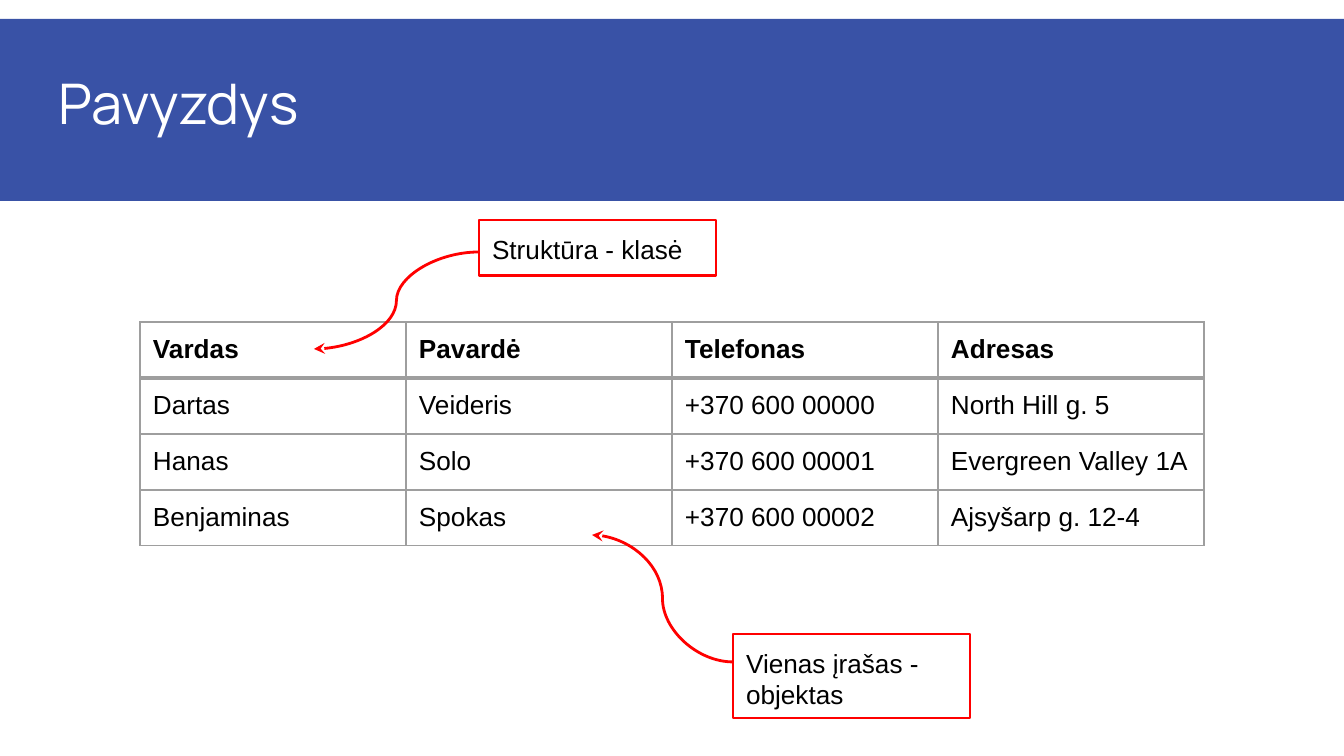
from lxml.etree import SubElement as Sub
from pptx import Presentation
from pptx.dml.color import RGBColor
from pptx.enum.shapes import MSO_CONNECTOR as Link, MSO_SHAPE as Kind
from pptx.enum.text import MSO_ANCHOR as Anchor, PP_ALIGN as Align
from pptx.oxml import parse_xml
from pptx.oxml.ns import nsdecls, qn
from pptx.util import Emu, Pt

SCALE = 914400 / 134.4
PAD = 13
RED, GREY, BLUE, BLACK, WHITE = "FF0000", "9E9E9E", "3952A6", "000000", "FFFFFF"

ROWS = [
    ["Vardas", "Pavardė", "Telefonas", "Adresas"],
    ["Dartas", "Veideris", "+370 600 00000", "North Hill g. 5"],
    ["Hanas", "Solo", "+370 600 00001", "Evergreen Valley 1A"],
    ["Benjaminas", "Spokas", "+370 600 00002", "Ajsyšarp g. 12-4"],
]


def px(*vals):
    return [Emu(round(v * SCALE)) for v in vals]


def color(code):
    return RGBColor.from_string(code)


class Deck:
    font, size = "Arial", 14

    def __init__(self, wide, high):
        self.prs = Presentation()
        self.prs.slide_width, self.prs.slide_height = px(wide, high)
        self.slide = self.prs.slides.add_slide(self.prs.slide_layouts[6])
        self.shapes = self.slide.shapes

    def style(self, frame, text, size=size, font=font, ink=BLACK, bold=False):
        frame.text = text
        for para in frame.paragraphs:
            para.alignment = Align.LEFT
            for run in para.runs:
                run.font.size, run.font.name, run.font.bold = Pt(size), font, bold
                run.font.color.rgb = color(ink)

    def pad(self, item, below=PAD):
        """Set the insets of a text frame or a cell."""
        for side in ("left", "top", "right"):
            setattr(item, "margin_" + side, px(PAD)[0])
        item.margin_bottom = px(below)[0]

    def band(self, *box):
        rect = self.shapes.add_shape(Kind.RECTANGLE, *px(*box))
        rect.shadow.inherit = False
        rect.fill.solid()
        rect.fill.fore_color.rgb = color(BLUE)
        rect.line.fill.background()

    def title(self, text, *box):
        frame = self.shapes.add_textbox(*px(*box)).text_frame
        frame.word_wrap = True
        self.pad(frame)
        self.style(frame, text, 30, "Manrope", WHITE)
        frame.paragraphs[0].line_spacing = 0.85

    def label(self, text, *box):
        rect = self.shapes.add_shape(Kind.RECTANGLE, *px(*box))
        rect.shadow.inherit = False
        rect.fill.background()
        rect.line.color.rgb = color(RED)
        rect.line.width = Pt(1.5)
        frame = rect.text_frame
        frame.word_wrap = True
        frame.vertical_anchor = Anchor.TOP
        self.pad(frame)
        self.style(frame, text)

    def arrow(self, *ends):
        """Draw a curve whose arrowhead sits at its first point."""
        curve = self.shapes.add_connector(Link.CURVE, *px(*ends))
        curve.line.color.rgb = color(RED)
        curve.line.width = Pt(1.5)
        Sub(curve._element.spPr.find(qn("a:ln")), qn("a:headEnd"), type="stealth")
        Sub(curve._element.spPr, qn("a:effectLst"))

    def edge(self, cell, sides):
        props = cell._tc.get_or_add_tcPr()
        for spot, (side, width) in enumerate(sides.items()):
            props.insert(spot, parse_xml(
                f'<a:ln{side} {nsdecls("a")} w="{Pt(width)}"><a:solidFill>'
                f'<a:srgbClr val="{GREY}"/></a:solidFill></a:ln{side}>'))

    def table(self, rows, left, top, wide, high):
        count, cols = len(rows), len(rows[0])
        box = px(left, top, wide * cols, high * count)
        grid = self.shapes.add_table(count, cols, *box).table
        grid.horz_banding = False
        for col in grid.columns:
            col.width = px(wide)[0]
        for r, row in enumerate(rows):
            grid.rows[r].height = px(high)[0]
            for c, text in enumerate(row):
                cell = grid.cell(r, c)
                cell.fill.background()
                self.pad(cell, below=11)
                self.style(cell.text_frame, text, bold=r == 0)
                self.edge(cell, {"L": 0.75, "R": 0.75,
                                 "T": 2.25 if r == 1 else 0.75,
                                 "B": 2.25 if r == 0 else 0.75})


def main():
    deck = Deck(1344, 756)
    deck.band(0, 19, 1344, 182)
    deck.title("Pavyzdys", 46, 66, 1252, 85)
    deck.table(ROWS, 140, 322, 266, 56)
    deck.arrow(592, 535, 733, 662)
    deck.arrow(314, 349, 479, 252)
    deck.label("Struktūra - klasė", 479, 220, 237, 56)
    deck.label("Vienas įrašas - objektas", 733, 634, 237, 84)
    deck.prs.save("out.pptx")


if __name__ == "__main__":
    main()
